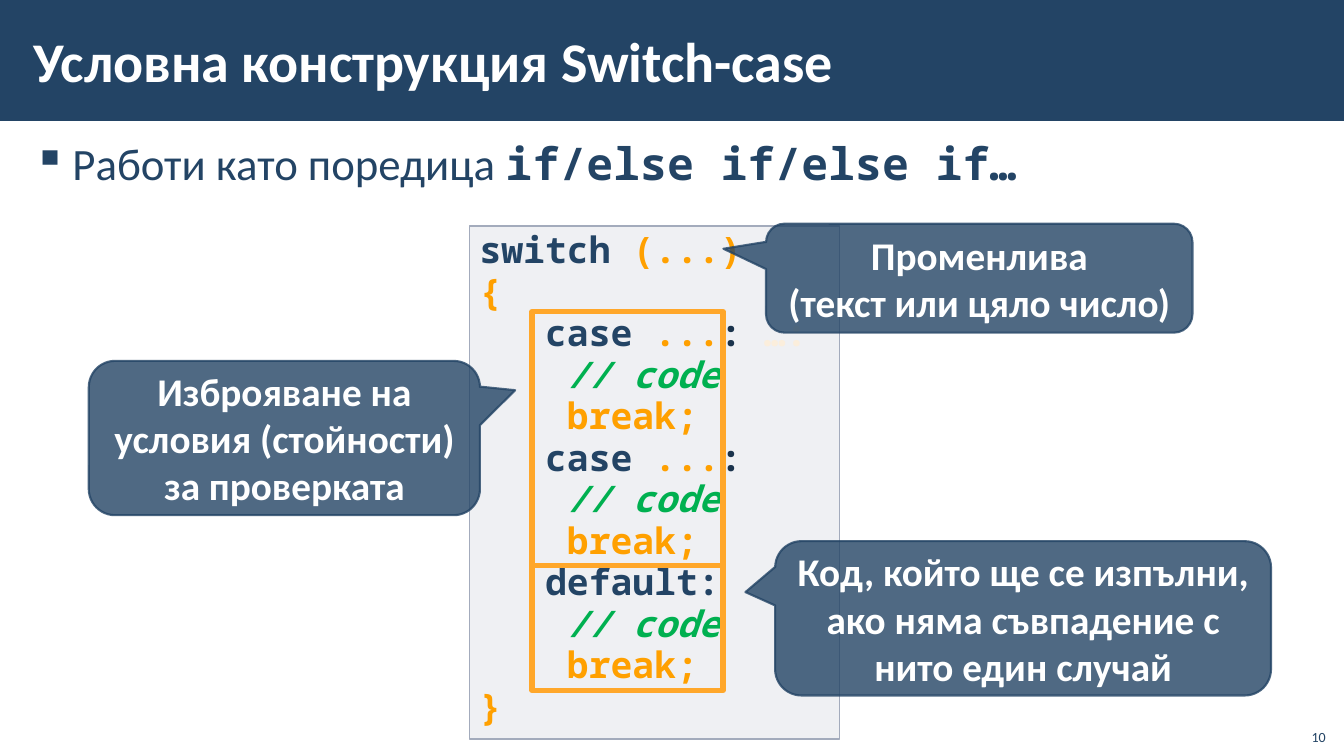
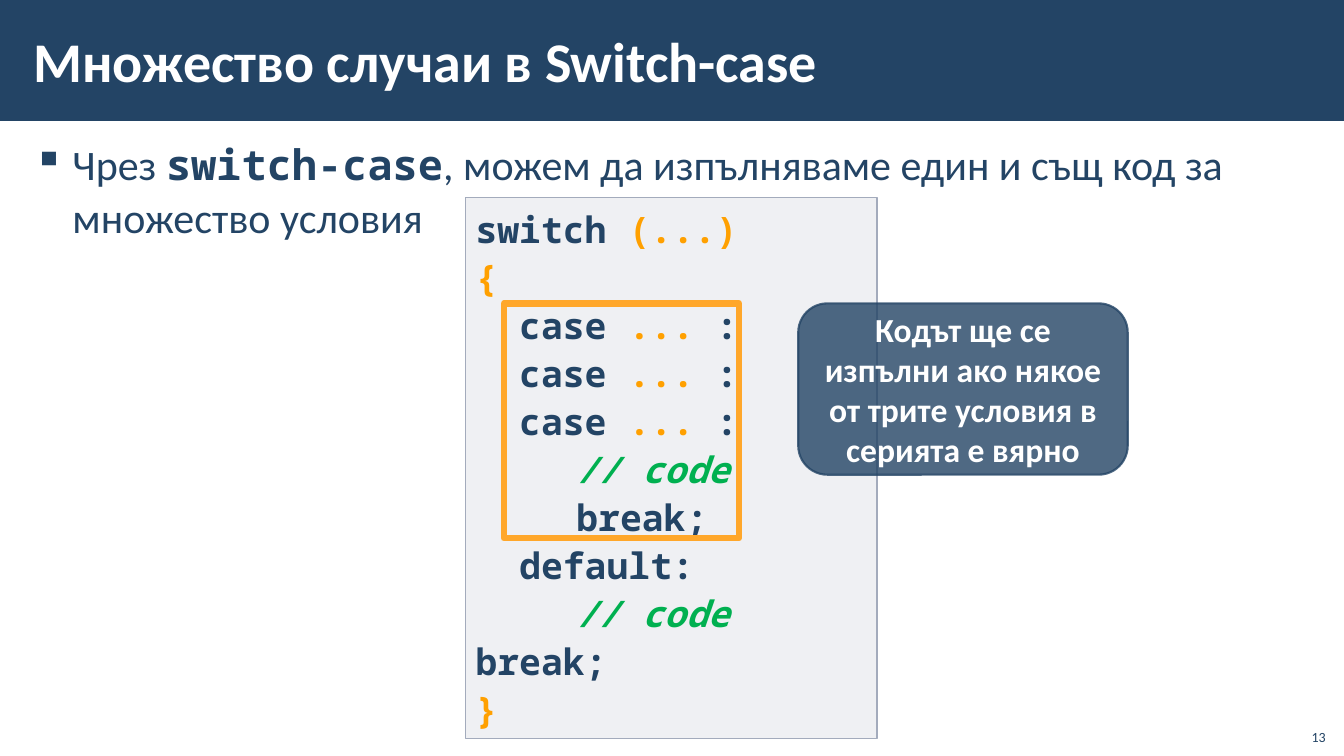
from dataclasses import dataclass

from lxml.etree import SubElement
from pptx import Presentation
from pptx.dml.color import RGBColor as Rgb
from pptx.enum.shapes import MSO_SHAPE as Preset
from pptx.enum.text import MSO_ANCHOR as Anchor, MSO_AUTO_SIZE as AutoSize, PP_ALIGN as Align
from pptx.oxml.ns import qn
from pptx.util import Pt


@dataclass(frozen=True)
class Theme:
    """Colours, fonts and type sizes of the deck."""
    navy: Rgb = Rgb(0x23, 0x44, 0x65)
    ink: Rgb = Rgb(0x1A, 0x33, 0x4C)
    white: Rgb = Rgb(0xFF, 0xFF, 0xFF)
    orange: Rgb = Rgb(0xFF, 0xA0, 0x00)
    frame: Rgb = Rgb(0xFF, 0xA7, 0x2A)
    green: Rgb = Rgb(0x00, 0xB0, 0x50)
    cream: Rgb = Rgb(0xFB, 0xEE, 0xDC)
    code_fill: Rgb = Rgb(0xC2, 0xC7, 0xD2)
    code_line: Rgb = Rgb(0xA3, 0xAB, 0xBC)
    text_font: str = "Calibri"
    code_font: str = "Noto Sans Mono"
    title_size: int = 40
    code_size: int = 26
    number_size: int = 10


theme = Theme()


def add_box(shapes, preset, place, fill=None, fill_alpha=100, line=None, width=1, line_alpha=100):
    """Add a flat preset shape; opacities are percentages."""
    shape = shapes.add_shape(preset, *map(Pt, place))
    shape.shadow.inherit = False
    for target, colour, alpha in ((shape.fill, fill, fill_alpha), (shape.line.fill, line, line_alpha)):
        if colour is None:
            target.background()
            continue
        target.solid()
        target.fore_color.rgb = colour
        if alpha < 100:
            owner = shape.element.spPr if target is shape.fill else shape.line._ln
            colour_xml = owner.find(qn("a:solidFill")).find(qn("a:srgbClr"))
            SubElement(colour_xml, qn("a:alpha")).set("val", str(alpha * 1000))
    if line is not None:
        shape.line.width = Pt(width)
    return shape


def format_paragraph(paragraph, font, size, colour, bold=False, align=Align.LEFT):
    """Set the font and alignment that all runs of a paragraph share."""
    paragraph.alignment = align
    paragraph.font.name = font
    paragraph.font.size = Pt(size)
    paragraph.font.bold = bold
    paragraph.font.color.rgb = colour


# Code lines: left indent in points, then (text, colour) runs
switch_line = (0, [("switch ", theme.navy), ("(...)", theme.orange)])
open_line = (0, [("{", theme.orange)])
close_line = (0, [("}", theme.orange)])
comment = [("// code", theme.green)]
orange_break = [("break;", theme.orange)]
navy_break = [("break;", theme.navy)]
default = [("default:", theme.navy)]
case = [("case", theme.navy), (" ...", theme.orange), (":", theme.ink)]
spaced_case = [("case ", theme.navy), ("... ", theme.orange), (":", theme.navy)]
block = [(62.4, comment), (62.4, orange_break)]

pages = [
    dict(
        number="10",
        title="Условна конструкция Switch-case",
        bullet=[("Работи като поредица ", False), ("if/else if/else if…", True)],
        bullet_size=32, bullet_spacing=1.0,
        code_place=(335.5, 161.3, 264.2, 366.5), code_spacing=0.95,
        code=[switch_line, open_line,
              (46.8, case + [(" …:", theme.cream)]), *block,
              (46.8, case), *block,
              (46.8, default), *block, close_line],
        frames=[(380.2, 222.5, 136.1, 181.4), (380.2, 403.9, 136.1, 89.3)],
        frame_width=4, callout_size=28,
        callouts=[
            ((547.2, 159.8, 304.6, 77.8), (-0.6, -0.27), "Променлива\v(текст или цяло число)"),
            ((63.4, 257.8, 279.4, 110.2), (0.59, -0.31),
             "Изброяване на условия (стойности) за проверката"),
            ((553.7, 386.6, 354.2, 110.2), (-0.56, -0.17),
             "Код, който ще се изпълни, ако няма съвпадение с нито един случай"),
        ],
    ),
    dict(
        number="13",
        title="Множество случаи в Switch-case",
        bullet=[("Чрез ", False), ("switch-case", True),
                (", можем да изпълняваме един и същ код за множество условия", False)],
        bullet_size=30, bullet_spacing=1.05,
        code_place=(332.6, 141.1, 293.8, 386.6), code_spacing=1.1,
        code=[switch_line, open_line, *[(31.2, spaced_case)] * 3,
              (72, comment), (72, navy_break),
              (31.2, default), (72, comment), (0, navy_break), close_line],
        frames=[(360, 216.7, 167.8, 167.8)],
        frame_width=4.5, callout_size=24,
        callouts=[((570.2, 216.7, 235.4, 122.4), None,
                   "Кодът ще се изпълни ако някое от трите условия в серията е вярно")],
    ),
]

presentation = Presentation()
presentation.slide_width, presentation.slide_height = Pt(960), Pt(540)
layout = presentation.slide_layouts[5]

for index, page in enumerate(pages):
    slide = presentation.slides.add_slide(layout)
    shapes = slide.shapes

    # The band moves to the layout, so that every slide shares it
    if index == 0:
        band = add_box(shapes, Preset.RECTANGLE, (0, 0, 960, 86.4), theme.navy)
        layout.shapes.element.insert(2, band.element)

    title = shapes.title
    title.left, title.top, title.width, title.height = map(Pt, (15.1, 7.9, 765.4, 69.8))
    title.text_frame.text = page["title"]
    title.text_frame.vertical_anchor = Anchor.MIDDLE
    format_paragraph(title.text_frame.paragraphs[0], theme.text_font, theme.title_size,
                     theme.white, bold=True)

    body = shapes.add_textbox(*map(Pt, (15.1, 94.3, 930.2, 435.6)))
    for frame in (title.text_frame, body.text_frame):
        frame.word_wrap = True
        frame.auto_size = AutoSize.NONE
        frame.margin_left = frame.margin_right = Pt(8.64)
        frame.margin_top = frame.margin_bottom = Pt(2.88)

    paragraph = body.text_frame.paragraphs[0]
    properties = paragraph._p.get_or_add_pPr()
    properties.set("marL", str(Pt(28)))
    properties.set("indent", str(Pt(-28)))
    SubElement(properties, qn("a:buChar")).set("char", "▪")
    paragraph.line_spacing = page["bullet_spacing"]
    paragraph.space_before = paragraph.space_after = Pt(6)
    format_paragraph(paragraph, theme.text_font, page["bullet_size"], theme.navy)
    for text, is_code in page["bullet"]:
        run = paragraph.add_run()
        run.text = text
        if is_code:
            run.font.name = theme.code_font
            run.font.bold = True

    code_box = add_box(shapes, Preset.RECTANGLE, page["code_place"], theme.code_fill, 25,
                       theme.code_line)
    code_frame = code_box.text_frame
    code_frame.vertical_anchor = Anchor.TOP
    code_frame.word_wrap = True
    for row, (indent, runs) in enumerate(page["code"]):
        paragraph = code_frame.add_paragraph() if row else code_frame.paragraphs[0]
        paragraph._p.get_or_add_pPr().set("marL", str(Pt(indent)))
        paragraph.line_spacing = page["code_spacing"]
        format_paragraph(paragraph, theme.code_font, theme.code_size, theme.navy, bold=True)
        for text, colour in runs:
            run = paragraph.add_run()
            run.text = text
            run.font.color.rgb = colour
            if colour == theme.green:
                run.font.italic = True

    for place in page["frames"]:
        add_box(shapes, Preset.RECTANGLE, place, line=theme.frame, width=page["frame_width"])

    for place, pointer, text in page["callouts"]:
        preset = Preset.ROUNDED_RECTANGULAR_CALLOUT if pointer else Preset.ROUNDED_RECTANGLE
        callout = add_box(shapes, preset, place, theme.navy, 80, theme.navy, 1.5, 80)
        for position, value in enumerate((*(pointer or ()), 0.17)):
            callout.adjustments[position] = value
        callout.text_frame.word_wrap = True
        callout.text_frame.vertical_anchor = Anchor.MIDDLE
        paragraph = callout.text_frame.paragraphs[0]
        paragraph.text = text
        format_paragraph(paragraph, theme.text_font, page["callout_size"], theme.white,
                         bold=True, align=Align.CENTER)

    number = shapes.add_textbox(*map(Pt, (925.2, 512.6, 28.8, 23)))
    number.text_frame.word_wrap = True
    number.text_frame.vertical_anchor = Anchor.BOTTOM
    number.text_frame.text = page["number"]
    format_paragraph(number.text_frame.paragraphs[0], theme.text_font, theme.number_size,
                     theme.navy, align=Align.RIGHT)

presentation.save("out.pptx")
